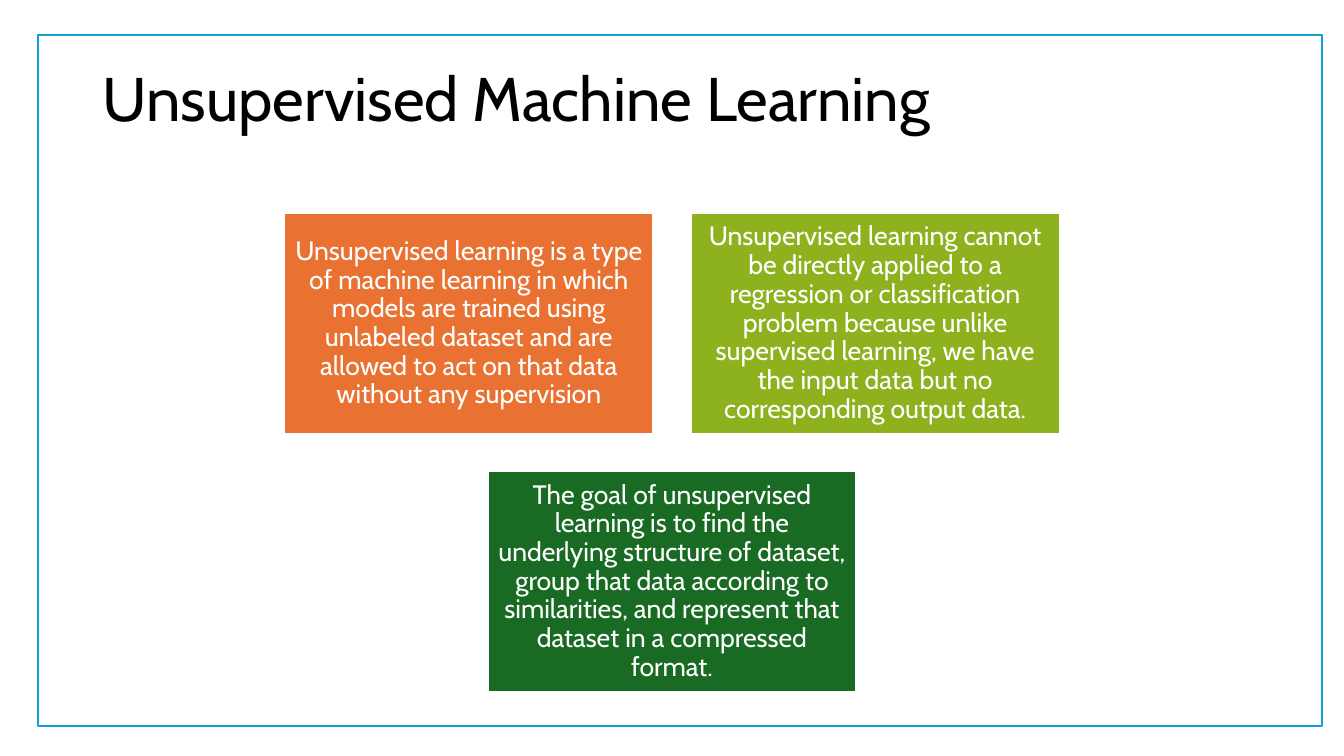
import dataclasses

import pptx
import pptx.dml.color
import pptx.enum.shapes
import pptx.enum.text
import pptx.slide
import pptx.util

FONT = "Cabin"
WHITE = "FFFFFF"
LEFT, TOP = 2.82, 2.11
WIDE, HIGH = 3.66, 2.2
STEP_X, STEP_Y = 4.03, 2.56


@dataclasses.dataclass(frozen=True)
class Card:
    col: float
    row: float
    fill: str
    text: str


CARDS = [
    Card(0, 0, "E97132",
         "Unsupervised learning is a type of machine learning in which models "
         "are trained using unlabeled dataset and are allowed to act on that "
         "data without any supervision"),
    Card(1, 0, "8EB21E",
         "Unsupervised learning cannot be directly applied to a regression or "
         "classification problem because unlike supervised learning, we have "
         "the input data but no corresponding output data."),
    Card(0.5, 1, "196B24",
         "The goal of unsupervised learning is to find the underlying "
         "structure of dataset, group that data according to similarities, "
         "and represent that dataset in a compressed format."),
]


def color(code: str) -> pptx.dml.color.RGBColor:
    return pptx.dml.color.RGBColor.from_string(code)


def add_box(slide: pptx.slide.Slide, x: float, y: float, wide: float,
            high: float, fill: str, line: str):
    box = slide.shapes.add_shape(
        pptx.enum.shapes.MSO_SHAPE.RECTANGLE,
        *map(pptx.util.Inches, (x, y, wide, high)))
    box.shadow.inherit = False
    box.fill.solid()
    box.fill.fore_color.rgb = color(fill)
    box.line.color.rgb = color(line)
    box.line.width = pptx.util.Pt(1.5)
    return box


def set_text(shape, text: str, size: float, code: str,
             align: pptx.enum.text.PP_ALIGN,
             anchor: pptx.enum.text.MSO_ANCHOR) -> None:
    frame = shape.text_frame
    frame.text = text
    frame.word_wrap = True
    frame.vertical_anchor = anchor
    para = frame.paragraphs[0]
    para.alignment = align
    para.line_spacing = 0.9
    font = para.runs[0].font
    font.name = FONT
    font.size = pptx.util.Pt(size)
    font.color.rgb = color(code)


def add_title(slide: pptx.slide.Slide, text: str) -> None:
    box = slide.shapes.add_textbox(
        *map(pptx.util.Inches, (0.92, 0.28, 11.49, 1.11)))
    set_text(box, text, 44, "000000", pptx.enum.text.PP_ALIGN.LEFT,
             pptx.enum.text.MSO_ANCHOR.BOTTOM)


def add_card(slide: pptx.slide.Slide, card: Card) -> None:
    box = add_box(slide, LEFT + card.col * STEP_X, TOP + card.row * STEP_Y,
                  WIDE, HIGH, card.fill, WHITE)
    set_text(box, card.text, 19, WHITE, pptx.enum.text.PP_ALIGN.CENTER,
             pptx.enum.text.MSO_ANCHOR.MIDDLE)
    frame = box.text_frame
    frame.margin_left = frame.margin_right = pptx.util.Inches(0.08)
    frame.margin_top = frame.margin_bottom = pptx.util.Inches(0.08)
    frame.paragraphs[0].space_after = pptx.util.Pt(6.65)


def main() -> None:
    deck = pptx.Presentation()
    deck.slide_width = pptx.util.Inches(13.33)
    deck.slide_height = pptx.util.Inches(7.5)
    slide = deck.slides.add_slide(deck.slide_layouts[6])
    add_box(slide, 0.38, 0.35, 12.73, 6.85, WHITE, "0F9ED5")
    add_title(slide, "Unsupervised Machine Learning")
    for card in CARDS:
        add_card(slide, card)
    deck.save("out.pptx")


if __name__ == "__main__":
    main()
